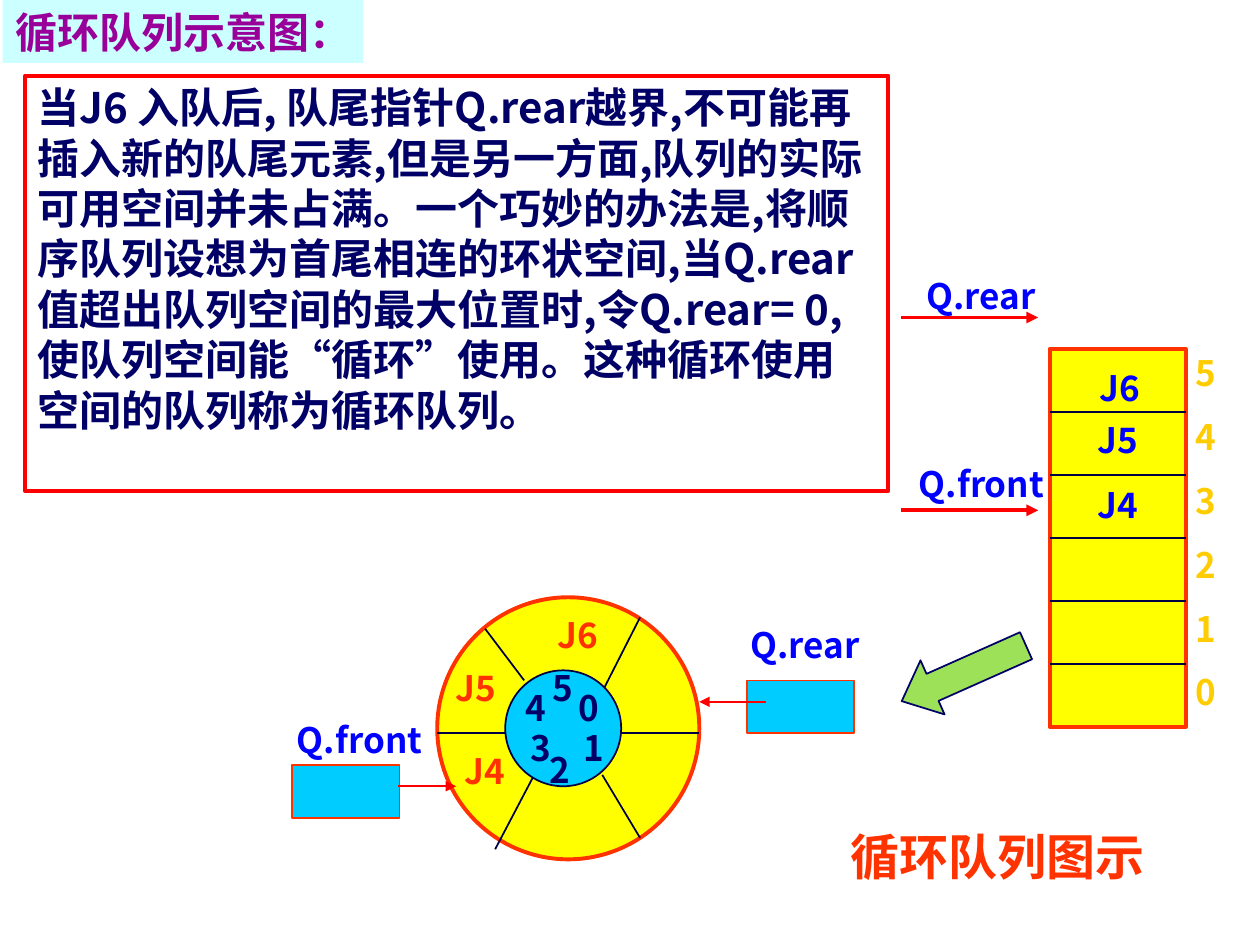
from lxml.etree import SubElement
from pptx import Presentation
from pptx.dml.color import RGBColor
from pptx.enum.shapes import MSO_CONNECTOR, MSO_SHAPE
from pptx.enum.text import MSO_ANCHOR, PP_ALIGN
from pptx.oxml.ns import qn
from pptx.util import Inches, Pt

NAVY, INK, BLUE = "000066", "000044", "0000FF"
RED, ORANGE, GOLD = "FF0000", "FF3300", "FFCC00"
YELLOW, CYAN, PALE, GREEN, PURPLE = "FFFF00", "00CCFF", "CCFFFF", "9CE157", "990099"
THIN, THICK = 1, 2.25


def color(value):
    return RGBColor.from_string(value)


class SlideBuilder:
    font = "Noto Sans CJK SC"

    def __init__(self, slide):
        self.slide = slide
        self.shapes = slide.shapes

    def start_group(self):
        self.shapes = self.slide.shapes.add_group_shape().shapes

    def end_group(self):
        self.shapes = self.slide.shapes

    def set_text(self, shape, text, size, text_color, align=PP_ALIGN.CENTER,
                 before=0.0, anchor=MSO_ANCHOR.TOP, wrap=True, font=None):
        frame = shape.text_frame
        frame.text = text
        frame.word_wrap = wrap
        frame.vertical_anchor = anchor
        for paragraph in frame.paragraphs:
            paragraph.alignment = align
            paragraph.space_before = Pt(before)
            for run in paragraph.runs:
                run.font.name = font or self.font
                run.font.size = Pt(size)
                run.font.bold = True
                run.font.color.rgb = color(text_color)
                east_asian = SubElement(run._r.get_or_add_rPr(), qn("a:ea"))
                east_asian.set("typeface", self.font)

    def title(self, text, left, top, width, height):
        shape = self.slide.shapes.title
        shape.left, shape.top = Inches(left), Inches(top)
        shape.width, shape.height = Inches(width), Inches(height)
        shape.fill.solid()
        shape.fill.fore_color.rgb = color(PALE)
        self.set_text(shape, text, 24, PURPLE, PP_ALIGN.LEFT,
                      anchor=MSO_ANCHOR.MIDDLE, wrap=False, font="Montserrat")

    def label(self, text, left, top, width, height=0.44, text_color=BLUE, size=20):
        box = self.shapes.add_textbox(Inches(left), Inches(top), Inches(width), Inches(height))
        self.set_text(box, text, size, text_color, before=size * 0.625)

    def shape(self, kind, left, top, width, height, fill, line, line_width=THIN):
        shape = self.shapes.add_shape(kind, Inches(left), Inches(top),
                                      Inches(width), Inches(height))
        shape.shadow.inherit = False
        if fill:
            shape.fill.solid()
            shape.fill.fore_color.rgb = color(fill)
        else:
            shape.fill.background()
        shape.line.color.rgb = color(line)
        shape.line.width = Pt(line_width)
        return shape

    def line(self, x1, y1, x2, y2, line_color=INK, width=THIN, arrow=False):
        connector = self.shapes.add_connector(MSO_CONNECTOR.STRAIGHT, Inches(x1), Inches(y1),
                                              Inches(x2), Inches(y2))
        connector.line.color.rgb = color(line_color)
        connector.line.width = Pt(width)
        if arrow:
            SubElement(connector.line._get_or_add_ln(), qn("a:tailEnd")).set("type", "triangle")
        SubElement(connector._element.spPr, qn("a:effectLst"))


presentation = Presentation()
presentation.slide_width, presentation.slide_height = Inches(10), Inches(7.5)
slide = presentation.slides.add_slide(presentation.slide_layouts[5])
builder = SlideBuilder(slide)

# Title and explanation
builder.title("循环队列示意图：", 0.02, 0, 2.86, 0.5)
explanation = builder.shape(MSO_SHAPE.RECTANGLE, 0.2, 0.6, 6.85, 3.3, None, RED, THICK)
builder.set_text(
    explanation,
    "当J6 入队后, 队尾指针Q.rear越界,不可能再插入新的队尾元素,但是另一方面,"
    "队列的实际可用空间并未占满。一个巧妙的办法是,将顺序队列设想为首尾相连的环状空间,"
    "当Q.rear 值超出队列空间的最大位置时,令Q.rear= 0,使队列空间能“循环”使用。"
    "这种循环使用空间的队列称为循环队列。",
    24, NAVY, PP_ALIGN.LEFT, before=15)

# Ring with its six sectors
builder.start_group()
builder.shape(MSO_SHAPE.OVAL, 3.47, 4.74, 2.08, 2.08, YELLOW, ORANGE, THICK)
for spoke in [(4.01, 5.82, 3.47, 5.82), (3.85, 4.99, 4.16, 5.4), (5.08, 4.9, 4.78, 5.49),
              (4.78, 6.15, 5.08, 6.65), (4.24, 6.15, 3.93, 6.74), (4.93, 5.82, 5.55, 5.82)]:
    builder.line(*spoke)
builder.shape(MSO_SHAPE.OVAL, 4.01, 5.32, 0.92, 0.92, CYAN, INK)
for item, left, top in [("J6", 4.24, 4.82), ("J5", 3.43, 5.24), ("J4", 3.5, 5.9)]:
    builder.label(item, left, top, 0.69, text_color=ORANGE)
for index, (center, top) in enumerate([(4.67, 5.4), (4.71, 5.72), (4.44, 5.89),
                                       (4.29, 5.72), (4.25, 5.4), (4.47, 5.24)]):
    builder.label(str(index), center - 0.23, top, 0.46, text_color=NAVY)

# Ring pointers
for left, top in [(5.93, 5.4), (2.32, 6.07)]:
    builder.shape(MSO_SHAPE.RECTANGLE, left, top, 0.85, 0.42, CYAN, ORANGE)
builder.line(6.08, 5.57, 5.55, 5.57, RED, arrow=True)
builder.line(3.16, 6.24, 3.62, 6.24, RED, arrow=True)
builder.label("Q.rear", 5.85, 4.9, 1.08, 0.77)
builder.label("Q.front", 2.24, 5.65, 1.23, 0.77)
builder.end_group()

# Caption
builder.label("循环队列图示", 6.46, 6.51, 2.91, 0.57, ORANGE, 28)

# Sequential queue with its six cells
builder.start_group()
builder.label("5\n4\n3\n2\n1\n0", 9.39, 2.74, 0.33, 2.97, GOLD)
builder.shape(MSO_SHAPE.RECTANGLE, 8.33, 2.77, 1.08, 3, YELLOW, ORANGE, THICK)
for row in range(1, 6):
    y = 2.77 + 0.5 * row
    builder.line(8.33, y, 9.41, y)
for item, left, top in [("J6", 8.62, 2.86), ("J5", 8.6, 3.27), ("J4", 8.6, 3.79)]:
    builder.label(item, left, top, 0.54)

# Queue pointers
for name, left, top, width, arrow_y in [("Q.rear", 7.2, 2.13, 1.17, 2.52),
                                        ("Q.front", 7.11, 3.62, 1.36, 4.05)]:
    builder.line(7.15, arrow_y, 8.24, arrow_y, RED, THICK, arrow=True)
    builder.label(name, left, top, width, 0.77)
builder.end_group()

# Arrow from the queue to the ring
block_arrow = builder.shape(MSO_SHAPE.LEFT_ARROW, 7.11, 5.11, 1.08, 0.47, GREEN, NAVY)
block_arrow.adjustments[0], block_arrow.adjustments[1] = 0.5, 0.57
block_arrow.rotation = 336

presentation.save("out.pptx")
